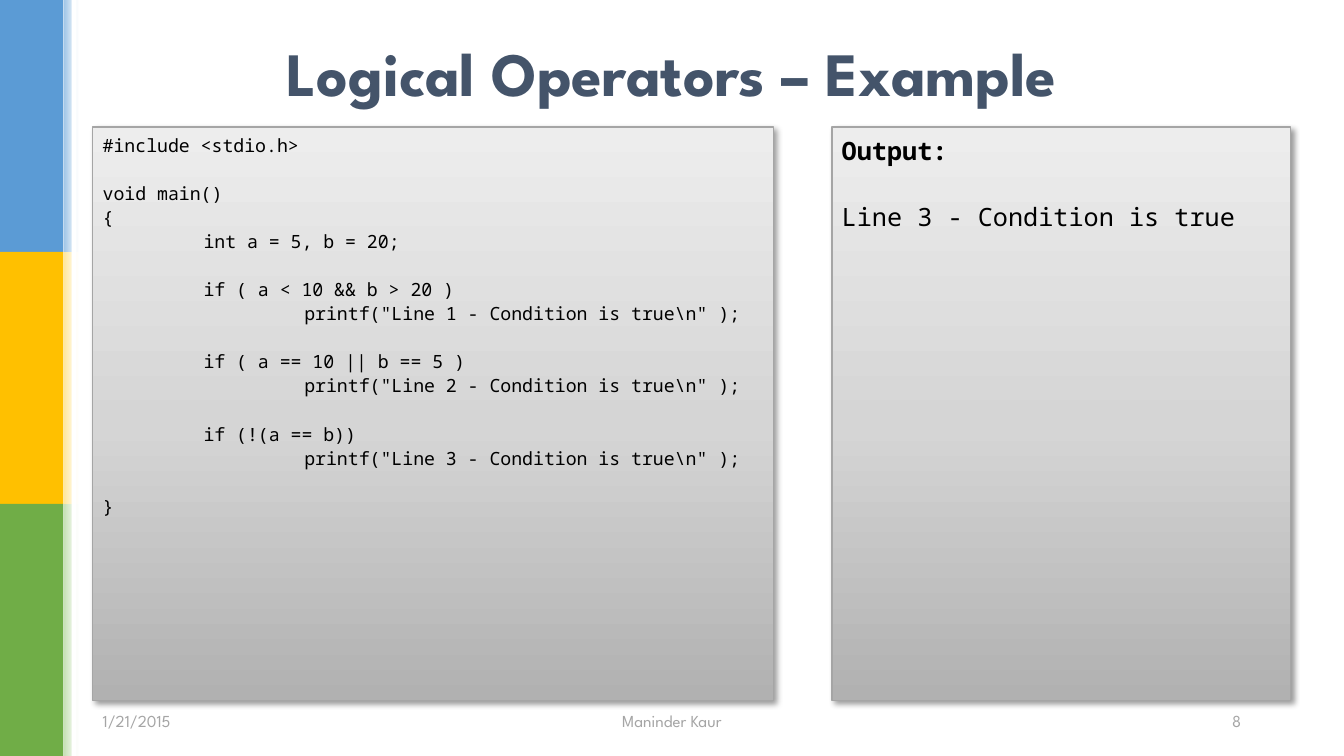
from dataclasses import dataclass

from lxml import etree
from pptx import Presentation
from pptx.dml.color import RGBColor
from pptx.enum.shapes import MSO_SHAPE
from pptx.enum.text import MSO_ANCHOR, PP_ALIGN
from pptx.oxml import parse_xml
from pptx.oxml.ns import nsdecls, qn
from pptx.util import Inches, Pt

RECTANGLE = MSO_SHAPE.RECTANGLE
TOP, MIDDLE = MSO_ANCHOR.TOP, MSO_ANCHOR.MIDDLE
LEFT, CENTER, RIGHT = PP_ALIGN.LEFT, PP_ALIGN.CENTER, PP_ALIGN.RIGHT
HEADING_FONT, CODE_FONT = "League Spartan", "Noto Sans Mono"
COLORS = {
    "blue": "5B9BD5", "pale_blue": "9DC3E6",
    "gold": "FFC000", "pale_gold": "FFE699",
    "green": "70AD47", "pale_green": "C5E0B4",
    "white": "FFFFFF", "black": "000000", "slate": "44546A", "gray": "A5A5A5",
    "panel_dark": "B1B1B1", "panel_mid": "D5D5D5", "panel_light": "EDEDED",
}
PANEL_STOPS = [(0, "panel_dark"), (48, "panel_mid"), (100, "panel_light")]
BAND_WIDTH, FADE_WIDTH, BAND_HEIGHT = 0.63, 0.15, 2.5
CODE = """#include <stdio.h>

void main()
{
\tint a = 5, b = 20;

\tif ( a < 10 && b > 20 )
\t\tprintf("Line 1 - Condition is true\\n" );

\tif ( a == 10 || b == 5 )
\t\tprintf("Line 2 - Condition is true\\n" );

\tif (!(a == b))
\t\tprintf("Line 3 - Condition is true\\n" );

}"""
OUTPUT = """Output:

Line 3 - Condition is true"""


@dataclass
class Band:
    color: str
    fade: str


@dataclass
class Panel:
    left: float
    width: float
    text: str
    size: float
    blank_line: float
    bold_first: bool = False


@dataclass
class FooterItem:
    text: str
    left: float
    width: float
    align: PP_ALIGN


BANDS = [Band("blue", "pale_blue"), Band("gold", "pale_gold"),
         Band("green", "pale_green")]
PANELS = [Panel(0.92, 6.75, CODE, 13, 17.2),
          Panel(8.25, 4.55, OUTPUT, 18, 23.6, bold_first=True)]
FOOTER = [FooterItem("1/21/2015", 0.92, 3.58, LEFT),
          FooterItem("Maninder Kaur", 5.08, 3.17, CENTER),
          FooterItem("8", 8.83, 3.58, RIGHT)]


def rgb(name: str) -> RGBColor:
    return RGBColor.from_string(COLORS[name])


def apply(target, values: dict) -> None:
    for attribute, value in values.items():
        setattr(target, attribute, value)


def format_font(font, name: str, size: float, color: str, bold: bool = False) -> None:
    apply(font, {"name": name, "size": Pt(size), "bold": bold})
    font.color.rgb = rgb(color)


def add_block(slide, left: float, top: float, width: float, height: float):
    block = slide.shapes.add_shape(RECTANGLE, Inches(left), Inches(top),
                                   Inches(width), Inches(height))
    block.shadow.inherit = False
    block.line.fill.background()
    return block


def fill_solid(block, color: str) -> None:
    block.fill.solid()
    block.fill.fore_color.rgb = rgb(color)


def fill_gradient(block, stops: list, angle: int) -> None:
    block.fill.gradient()
    gradient = block._element.spPr.find(qn("a:gradFill"))
    stop_list = gradient.find(qn("a:gsLst"))
    for stop in list(stop_list):
        stop_list.remove(stop)
    for position, color in stops:
        stop = etree.SubElement(stop_list, qn("a:gs"), pos=str(position * 1000))
        etree.SubElement(stop, qn("a:srgbClr"), val=COLORS[color])
    gradient.find(qn("a:lin")).set("ang", str(angle * 60000))


def add_shadow(block) -> None:
    effects = block._element.spPr.find(qn("a:effectLst"))
    effects.append(parse_xml(
        f'<a:outerShdw {nsdecls("a")} blurRad="{Pt(4)}" dist="{Pt(3)}" '
        f'dir="2700000" algn="tl" rotWithShape="0"><a:srgbClr val="{COLORS["black"]}">'
        '<a:alpha val="40000"/></a:srgbClr></a:outerShdw>'))


def add_tab_stops(paragraph, count: int) -> None:
    tabs = etree.SubElement(paragraph._p.get_or_add_pPr(), qn("a:tabLst"))
    for inch in range(1, count + 1):
        etree.SubElement(tabs, qn("a:tab"), pos=str(Inches(inch)), algn="l")


def draw_side_bands(slide) -> None:
    for index, band in enumerate(BANDS):
        top = index * BAND_HEIGHT
        fill_solid(add_block(slide, 0, top, BAND_WIDTH, BAND_HEIGHT), band.color)
        fade = add_block(slide, BAND_WIDTH, top, FADE_WIDTH, BAND_HEIGHT)
        fill_gradient(fade, [(0, band.fade), (100, "white")], 0)
    fill_solid(add_block(slide, 0.71, 0, 0.05, 7.5), "white")


def draw_panel(slide, panel: Panel) -> None:
    block = add_block(slide, panel.left, 1.26, panel.width, 5.69)
    fill_gradient(block, PANEL_STOPS, 270)
    block.line.color.rgb = rgb("gray")
    block.line.width = Pt(1)
    add_shadow(block)
    frame = block.text_frame
    apply(frame, {"word_wrap": True, "vertical_anchor": TOP})
    for index, section in enumerate(panel.text.split("\n\n")):
        for row, line in enumerate(section.split("\n")):
            first = index == row == 0
            paragraph = frame.paragraphs[0] if first else frame.add_paragraph()
            gap = panel.blank_line if index and row == 0 else 0
            apply(paragraph, {"alignment": LEFT, "line_spacing": 1.1,
                              "space_before": Pt(gap)})
            if "\t" in line:
                add_tab_stops(paragraph, line.count("\t"))
            run = paragraph.add_run()
            run.text = line
            format_font(run.font, CODE_FONT, panel.size, "black",
                        first and panel.bold_first)


def draw_title(slide) -> None:
    title = slide.shapes.title
    apply(title, {"left": Inches(0.92), "top": Inches(0.17),
                  "width": Inches(11.49), "height": Inches(1.09)})
    title.text_frame.text = "Logical Operators – Example"
    title.text_frame.vertical_anchor = MIDDLE
    paragraph = title.text_frame.paragraphs[0]
    paragraph.alignment = CENTER
    format_font(paragraph.runs[0].font, HEADING_FONT, 44, "slate", True)


def draw_footer_item(slide, item: FooterItem) -> None:
    box = slide.shapes.add_textbox(Inches(item.left), Inches(6.95),
                                   Inches(item.width), Inches(0.4))
    frame = box.text_frame
    apply(frame, {"word_wrap": True, "vertical_anchor": MIDDLE, "text": item.text})
    frame.paragraphs[0].alignment = item.align
    format_font(frame.paragraphs[0].runs[0].font, HEADING_FONT, 12, "gray")


def main() -> None:
    deck = Presentation()
    apply(deck, {"slide_width": Inches(13.33), "slide_height": Inches(7.5)})
    slide = deck.slides.add_slide(deck.slide_layouts[5])
    draw_side_bands(slide)
    draw_title(slide)
    for panel in PANELS:
        draw_panel(slide, panel)
    for item in FOOTER:
        draw_footer_item(slide, item)
    deck.save("out.pptx")


if __name__ == "__main__":
    main()
